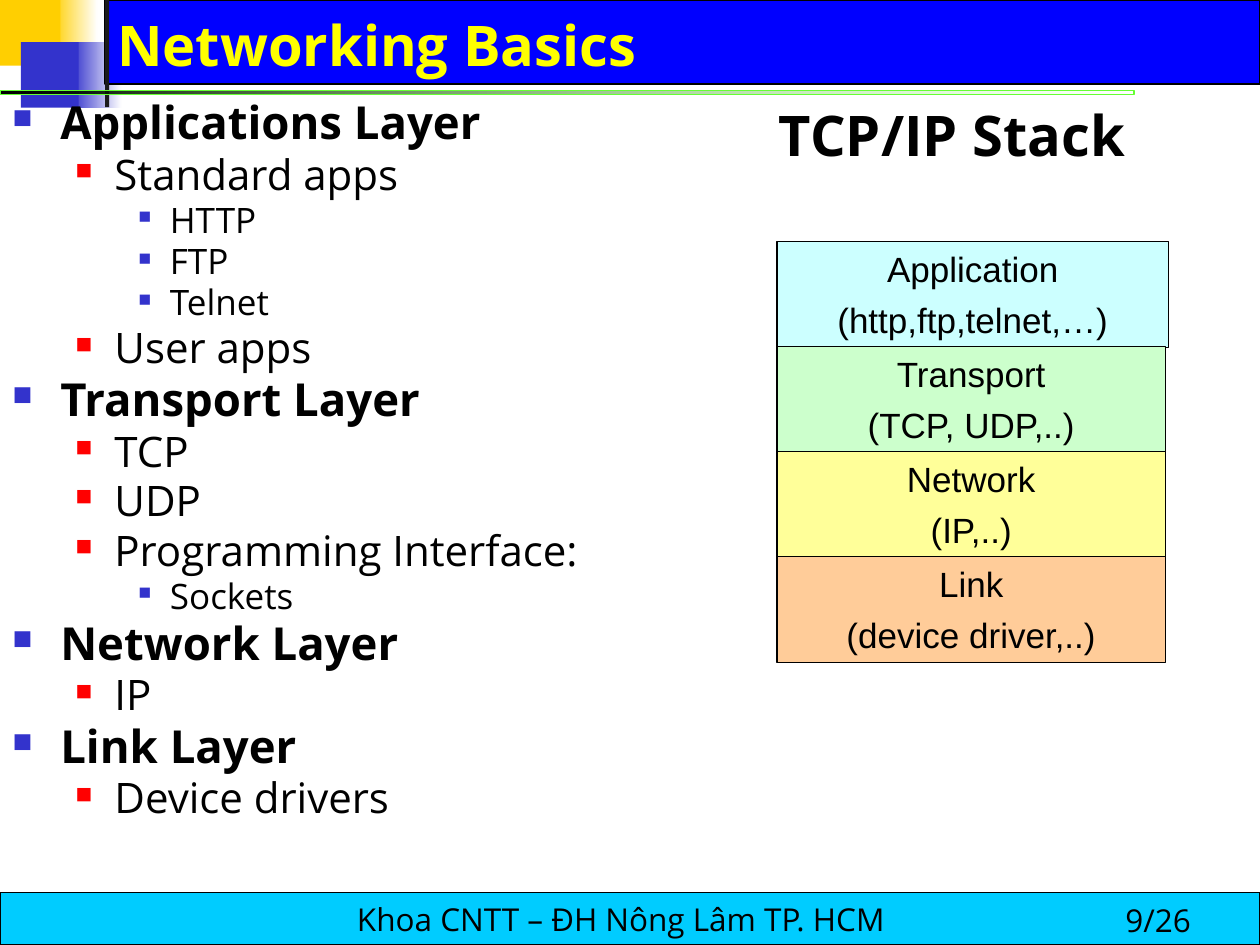
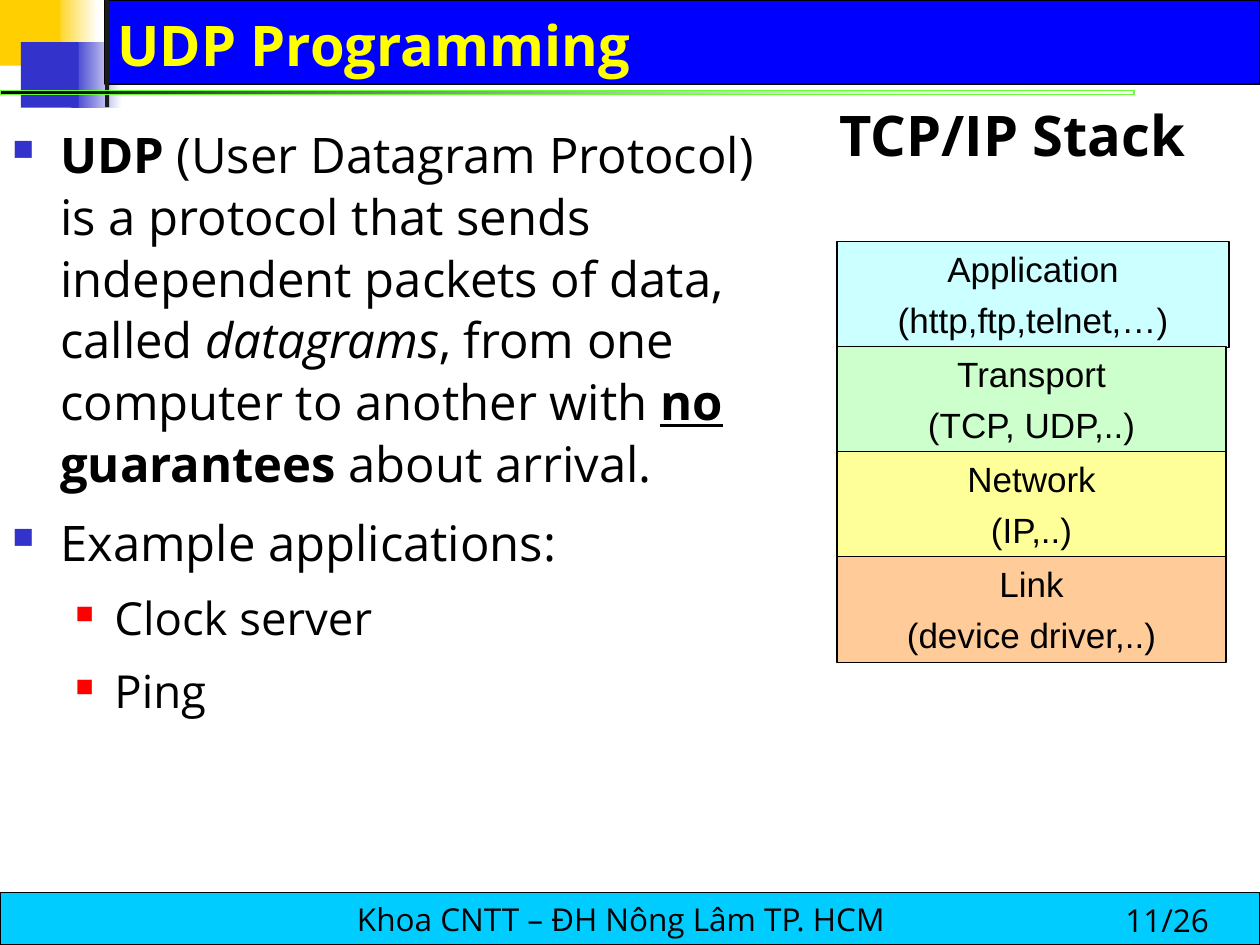
from lxml import etree
from pptx import Presentation
from pptx import util as u
from pptx.dml.color import RGBColor
from pptx.enum import shapes, text
from pptx.oxml.ns import qn

LEFT, CENTER = text.PP_ALIGN.LEFT, text.PP_ALIGN.CENTER
TOP, MIDDLE, BOTTOM = text.MSO_ANCHOR.TOP, text.MSO_ANCHOR.MIDDLE, text.MSO_ANCHOR.BOTTOM
FONT, BOX_FONT = "Open Sans", "Arial"
BLACK, WHITE, BLUE, GOLD, GREEN = "000000", "FFFFFF", "3333CC", "FFCF01", "66FF33"
BULLETS = [(0.38, 0.38, BLUE, 60), (0.81, 0.31, "FF0000", 55), (1.25, 0.25, BLUE, 50)]
LAYERS = [
    ("Application", "(http,ftp,telnet,…)", "CCFFFF"),
    ("Transport", "(TCP, UDP,..)", "CCFFCC"),
    ("Network", "(IP,..)", "FFFF99"),
    ("Link", "(device driver,..)", "FFCC99"),
]


def rgb(value):
    return RGBColor.from_string(value)


def add_text(p, content, size=18, color=BLACK, font=FONT, bold=False, italic=False, underline=False):
    r = p.add_run()
    r.text = content
    f = r.font
    f.size, f.name, f.color.rgb = u.Pt(size), font, rgb(color)
    f.bold, f.italic, f.underline = bold, italic, underline


class Deck:
    """Course slides laid out on a grid of 120 columns by 90 rows."""

    def __init__(self):
        self.prs = Presentation()
        self.prs.slide_width, self.prs.slide_height = u.Inches(10), u.Inches(7.5)
        self.slide = None

    def place(self, col, row, cols, rows):
        dx, dy = self.prs.slide_width / 120, self.prs.slide_height / 90
        return int(col * dx), int(row * dy), int(cols * dx), int(rows * dy)

    def rect(self, *area, fill, fade=None, line=None, width=0.75):
        sp = self.slide.shapes.add_shape(shapes.MSO_SHAPE.RECTANGLE, *self.place(*area))
        sp.shadow.inherit = False
        if fade:
            sp.fill.gradient()
            sp.fill.gradient_angle = 0
            for stop, color in zip(sp.fill.gradient_stops, (fill, fade)):
                stop.color.rgb = rgb(color)
        else:
            sp.fill.solid()
            sp.fill.fore_color.rgb = rgb(fill)
        if line:
            sp.line.color.rgb, sp.line.width = rgb(line), u.Pt(width)
        else:
            sp.line.fill.background()
        return sp

    def frame(self, sp, anchor=TOP):
        tf = sp.text_frame
        tf.word_wrap, tf.vertical_anchor = True, anchor
        return tf

    def label(self, *area, content, anchor=TOP, **style):
        tf = self.frame(self.slide.shapes.add_textbox(*self.place(*area)), anchor)
        add_text(tf.paragraphs[0], content, **style)

    def bullet(self, p, level):
        left, hang, color, size = BULLETS[level]
        pPr = p._p.get_or_add_pPr()
        pPr.set("marL", str(u.Inches(left)))
        pPr.set("indent", str(-u.Inches(hang)))
        clr = etree.SubElement(pPr, qn("a:buClr"))
        etree.SubElement(clr, qn("a:srgbClr"), val=color)
        etree.SubElement(pPr, qn("a:buSzPct"), val=str(size * 1000))
        etree.SubElement(pPr, qn("a:buChar"), char="■")

    def outline(self, *area, items, sizes, spacing, before, bold_top=False):
        tf = self.frame(self.slide.shapes.add_textbox(*self.place(*area)))
        for i, (level, runs) in enumerate(items):
            p = tf.add_paragraph() if i else tf.paragraphs[0]
            p.level, p.line_spacing = level, spacing
            p.space_before = u.Pt(before * sizes[level])
            self.bullet(p, level)
            if isinstance(runs, str):
                runs = [(runs, {"bold": bold_top and level == 0})]
            for content, style in runs:
                add_text(p, content, size=sizes[level], **style)

    def stack(self, col):
        self.label(col - 1, 9, 121 - col, 9, content="TCP/IP Stack", size=32, bold=True)
        for i, (name, examples, fill) in enumerate(LAYERS):
            cols = 37 if i else 37.3
            sp = self.rect(col, 23 + 10 * i, cols, 10.1, fill=fill, line=BLACK, width=1)
            tf = self.frame(sp)
            for p, content in ((tf.paragraphs[0], name), (tf.add_paragraph(), examples)):
                p.alignment, p.space_before = CENTER, u.Pt(5)
                add_text(p, content, size=20, font=BOX_FONT)

    def rule(self):
        sp = self.rect(0, 8.6, 108, 0.4, fill=BLACK, fade=GREEN, line=GREEN, width=0)
        end = sp._element.spPr.findall(".//" + qn("a:gs"))[-1]
        etree.SubElement(end[0], qn("a:alpha"), val="0")

    def footer(self, number):
        sp = self.rect(0, 85, 120, 5, fill="00CCFF", line=BLACK)
        tf = self.frame(sp, MIDDLE)
        tf.margin_right = u.Inches(0.24)
        tf.paragraphs[0].alignment = CENTER
        add_text(tf.paragraphs[0], "Khoa CNTT – ĐH Nông Lâm TP. HCM")
        self.label(106, 85.2, 14, 4.8, content=f"{number}/26")

    def start(self, title, number):
        self.slide = self.prs.slides.add_slide(self.prs.slide_layouts[6])
        self.rect(5, 0, 4.3, 6.25, fill=GOLD, fade=WHITE)
        self.rect(6.8, 4, 4.8, 6.25, fill=BLUE, fade=WHITE)
        self.rect(10, 0, 110, 8, fill="0000FF", line=BLACK)
        self.rect(0, 0, 5.75, 6.25, fill=GOLD)
        self.rect(2, 4, 5.5, 6.25, fill=BLUE)
        self.rect(10, 0, 0.4, 10.2, fill="1C1C1C")
        self.rule()
        self.footer(number)
        self.label(10, 1, 107, 7, content=title, anchor=BOTTOM, size=32, color="FFFF00", bold=True)


deck = Deck()

deck.start("Networking Basics", 9)
deck.outline(0, 9, 64, 75, sizes=(26, 24, 20), spacing=0.9, before=0.1, bold_top=True, items=[
    (0, "Applications Layer"),
    (1, "Standard apps"),
    (2, "HTTP"),
    (2, "FTP"),
    (2, "Telnet"),
    (1, "User apps"),
    (0, "Transport Layer"),
    (1, "TCP"),
    (1, "UDP"),
    (1, "Programming Interface:"),
    (2, "Sockets"),
    (0, "Network Layer"),
    (1, "IP"),
    (0, "Link Layer"),
    (1, "Device drivers"),
])
deck.stack(74)

deck.start("UDP Programming", 11)
definition = [
    ("UDP", {"bold": True}),
    (" (User Datagram Protocol) is a protocol that sends independent packets of data, called ", {}),
    ("datagrams", {"italic": True}),
    (", from one computer to another with ", {}),
    ("no", {"bold": True, "underline": True}),
    (" ", {}),
    ("guarantees", {"bold": True}),
    (" about arrival.", {}),
]
deck.outline(0, 11, 75, 71, sizes=(28, 26, 24), spacing=1.05, before=0.35, items=[
    (0, definition),
    (0, "Example applications:"),
    (1, "Clock server"),
    (1, "Ping"),
])
deck.stack(79.75)

deck.prs.save("out.pptx")
